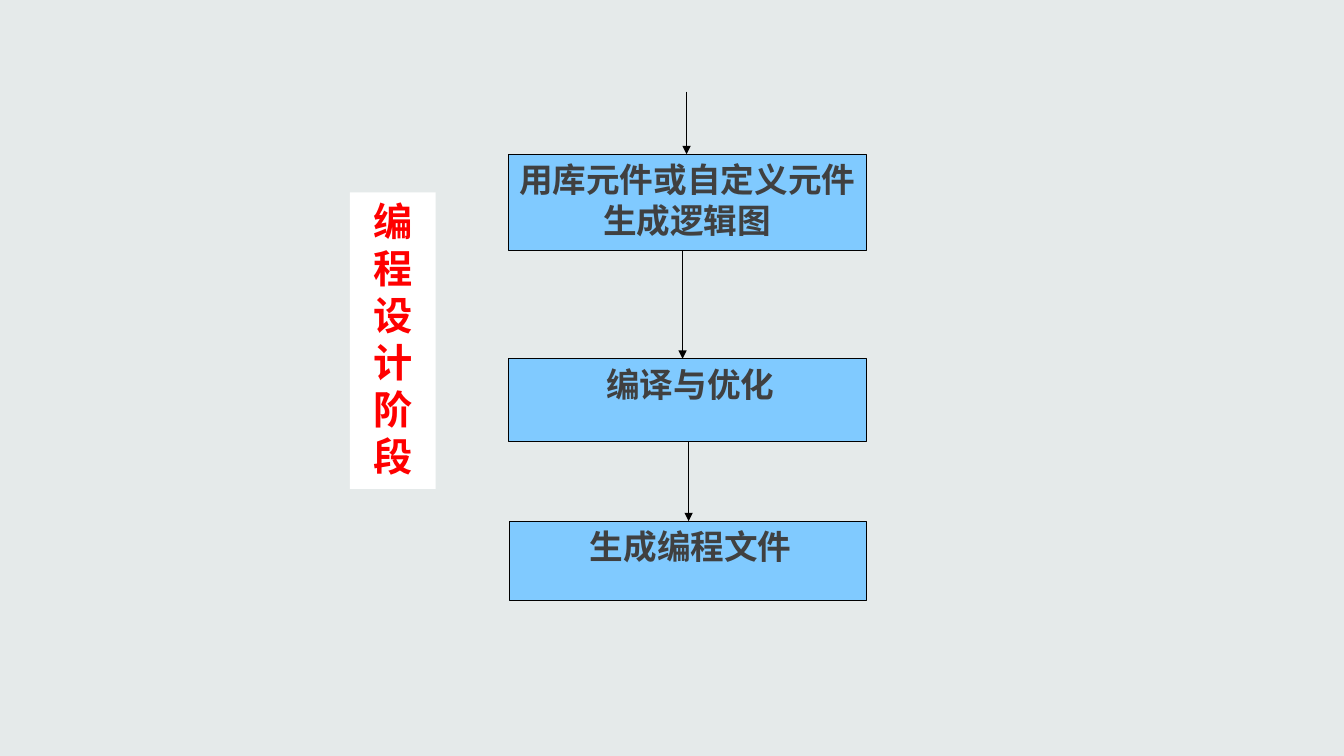
from dataclasses import dataclass

from lxml.etree import SubElement
from pptx import Presentation
from pptx.dml.color import RGBColor
from pptx.enum.shapes import MSO_CONNECTOR, MSO_SHAPE
from pptx.enum.text import MSO_ANCHOR, PP_ALIGN
from pptx.oxml.ns import qn
from pptx.slide import Slide
from pptx.util import Inches, Pt

FONT = "Calibri"
BLACK = "000000"


@dataclass(frozen=True)
class Box:
    text: str
    left: float
    top: float
    width: float
    height: float
    fill: str = "80CAFF"
    outline: str | None = BLACK
    size: int = 24
    color: str = "404040"
    left_inset: float = 0.1


@dataclass(frozen=True)
class Arrow:
    x: float
    top: float
    bottom: float


STAGE = Box("编程设计阶段", 3.47, 1.91, 0.85, 2.94,
            fill="FFFFFF", outline=None, size=28, color="FF0000")
STEPS = [
    Box("用库元件或自定义元件生成逻辑图", 5.04, 1.53, 3.55, 0.96),
    Box("编译与优化", 5.04, 3.56, 3.55, 0.82, left_inset=0.16),
    Box("生成编程文件", 5.05, 5.17, 3.54, 0.79, left_inset=0.16),
]
ARROW_XS = [6.81, 6.77, 6.83]
FLOW_START = 0.91


def rgb(value: str) -> RGBColor:
    return RGBColor.from_string(value)


def draw_box(page: Slide, box: Box) -> None:
    shape = page.shapes.add_shape(
        MSO_SHAPE.RECTANGLE, Inches(box.left), Inches(box.top),
        Inches(box.width), Inches(box.height))
    shape.shadow.inherit = False
    shape.fill.solid()
    shape.fill.fore_color.rgb = rgb(box.fill)
    if box.outline:
        shape.line.color.rgb = rgb(box.outline)
        shape.line.width = Pt(0.75)
    else:
        shape.line.fill.background()

    frame = shape.text_frame
    frame.word_wrap = True
    frame.vertical_anchor = MSO_ANCHOR.TOP
    frame.margin_left = Inches(box.left_inset)
    para = frame.paragraphs[0]
    para.alignment = PP_ALIGN.CENTER
    span = para.add_run()
    span.text = box.text
    span.font.name = FONT
    span.font.size = Pt(box.size)
    span.font.bold = True
    span.font.color.rgb = rgb(box.color)
    SubElement(span.font._element, qn("a:ea"), typeface=FONT)


def draw_arrow(page: Slide, arrow: Arrow) -> None:
    line = page.shapes.add_connector(
        MSO_CONNECTOR.STRAIGHT, Inches(arrow.x), Inches(arrow.top),
        Inches(arrow.x), Inches(arrow.bottom))
    line.line.color.rgb = rgb(BLACK)
    line.line.width = Pt(0.75)
    SubElement(line.line._get_or_add_ln(), qn("a:tailEnd"), type="triangle")
    SubElement(line._element.spPr, qn("a:effectLst"))


def main() -> None:
    deck = Presentation()
    deck.slide_width, deck.slide_height = Inches(13.33), Inches(7.5)
    page = deck.slides.add_slide(deck.slide_layouts[6])
    page.background.fill.solid()
    page.background.fill.fore_color.rgb = rgb("E5EAEA")

    for box in [STAGE, *STEPS]:
        draw_box(page, box)

    starts = [FLOW_START] + [step.top + step.height for step in STEPS]
    for x, start, step in zip(ARROW_XS, starts, STEPS):
        draw_arrow(page, Arrow(x, start, step.top))

    deck.save("out.pptx")


if __name__ == "__main__":
    main()
